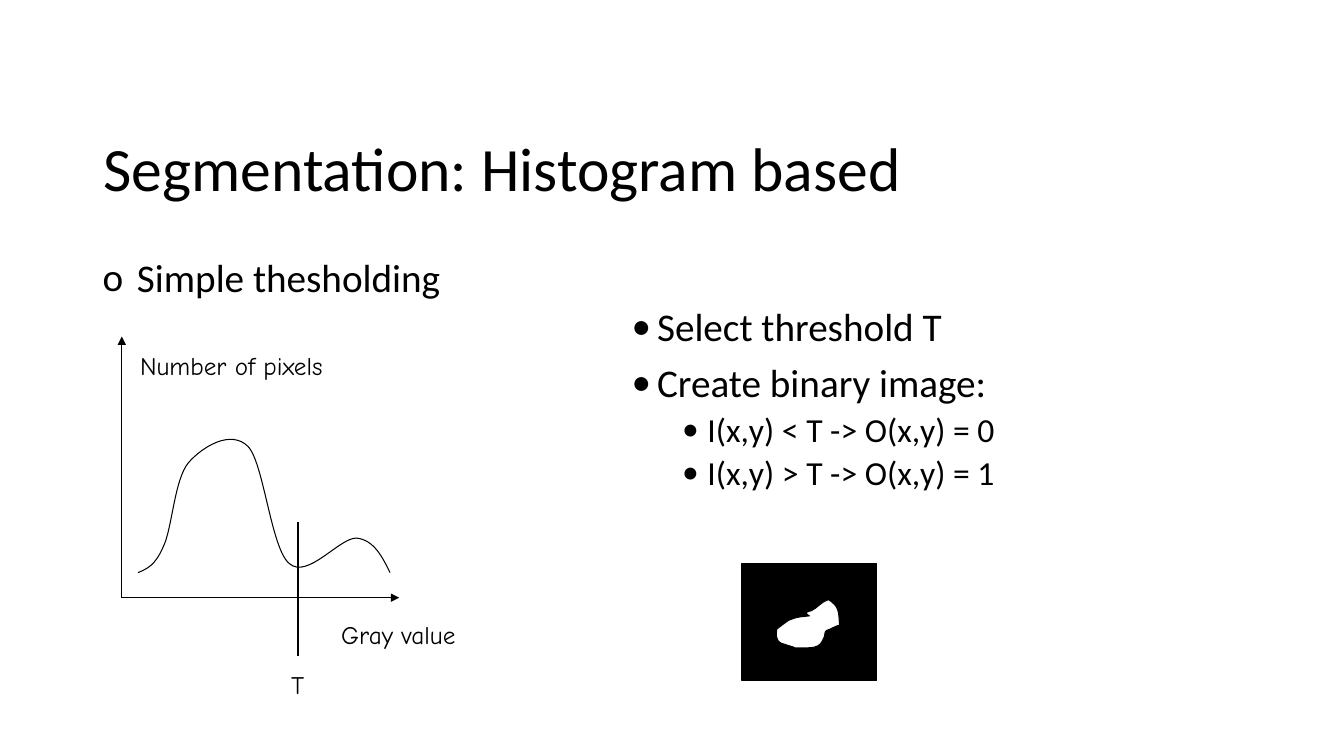
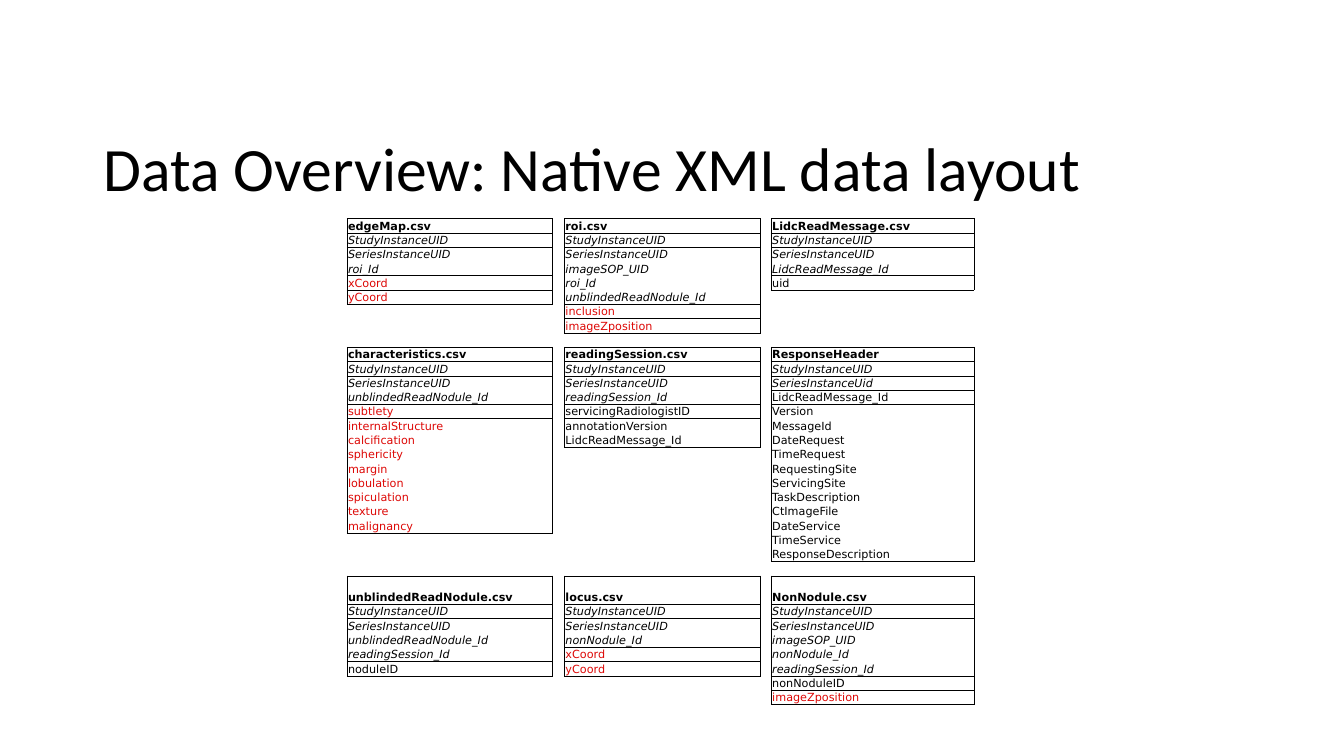
from lxml.etree import SubElement
from pptx import Presentation
from pptx.dml.color import RGBColor
from pptx.enum.shapes import MSO_CONNECTOR, MSO_SHAPE
from pptx.enum.text import MSO_ANCHOR
from pptx.oxml.ns import qn
from pptx.util import Cm, Pt

BLACK, WHITE, RED = "000000", "FFFFFF", "DD0806"
BODY_FONT, LABEL_FONT, TABLE_FONT = "Calibri", "Comic Neue", "DejaVu Sans"
LINE_WIDTH = 0.75
NO_STYLE = "{2D5ABB26-0587-4C30-8999-92F81FD0307C}"

# Curves: a start, then two control nodes and an end for each segment
ORIGIN = (3.07, 15.06)
HISTOGRAM = [
    (3.48, 14.43),
    (3.71, 14.33), (3.91, 14.25), (4.11, 13.79),
    (4.34, 13.34), (4.39, 12.09), (4.75, 11.66),
    (5.11, 11.25), (5.82, 10.82), (6.25, 11.25),
    (6.65, 11.66), (6.83, 13.82), (7.29, 14.2),
    (7.75, 14.61), (8.56, 13.54), (8.99, 13.56),
    (9.42, 13.61), (9.63, 14.02), (9.83, 14.43),
]
SHOE = [
    (20.4, 15.52),
    (20.24, 15.54), (20.09, 15.54), (19.96, 15.6),
    (19.86, 15.62), (19.79, 15.7), (19.71, 15.75),
    (19.69, 15.77), (19.58, 15.85), (19.58, 15.85),
    (19.56, 15.95), (19.53, 16.13), (19.69, 16.21),
    (19.76, 16.23), (19.84, 16.26), (19.91, 16.28),
    (19.96, 16.28), (20.04, 16.33), (20.04, 16.33),
    (20.22, 16.31), (20.42, 16.36), (20.6, 16.28),
    (20.7, 16.26), (20.78, 16.03), (20.78, 16.03),
    (20.8, 15.9), (20.78, 15.9), (20.93, 15.85),
    (21.01, 15.8), (21.16, 15.75), (21.16, 15.75),
    (21.13, 15.42), (21.16, 15.29), (20.88, 15.11),
    (20.7, 15.16), (20.6, 15.32), (20.45, 15.39),
    (20.4, 15.42), (20.35, 15.39), (20.32, 15.44),
    (20.29, 15.47), (20.37, 15.49), (20.4, 15.52),
]

COLUMN_WIDTHS = [5.18, 0.3, 4.93, 0.28, 5.11]
ROW_COUNT, ROW_HEIGHT, TALL_ROW = 33, 0.36, 25
STUDY_KEYS = ["StudyInstanceUID", "SeriesInstanceUID"]
RED_FIELDS = {
    "xCoord", "yCoord", "inclusion", "imageZposition", "subtlety",
    "internalStructure", "calcification", "sphericity", "margin",
    "lobulation", "spiculation", "texture", "malignancy",
}
# Top row -> entities from left to right: name, keys, other fields
ENTITIES = {
    0: [
        ("edgeMap.csv", STUDY_KEYS + ["roi_Id"], ["xCoord", "yCoord"]),
        ("roi.csv",
         STUDY_KEYS + ["imageSOP_UID", "roi_Id", "unblindedReadNodule_Id"],
         ["inclusion", "imageZposition"]),
        ("LidcReadMessage.csv", STUDY_KEYS + ["LidcReadMessage_Id"], ["uid"]),
    ],
    9: [
        ("characteristics.csv", STUDY_KEYS + ["unblindedReadNodule_Id"],
         ["subtlety", "internalStructure", "calcification", "sphericity",
          "margin", "lobulation", "spiculation", "texture", "malignancy"]),
        ("readingSession.csv", STUDY_KEYS + ["readingSession_Id"],
         ["servicingRadiologistID", "annotationVersion",
          "LidcReadMessage_Id"]),
        ("ResponseHeader", ["StudyInstanceUID", "SeriesInstanceUid"],
         ["LidcReadMessage_Id", "Version", "MessageId", "DateRequest",
          "TimeRequest", "RequestingSite", "ServicingSite",
          "TaskDescription", "CtImageFile", "DateService", "TimeService",
          "ResponseDescription"]),
    ],
    TALL_ROW: [
        ("unblindedReadNodule.csv",
         STUDY_KEYS + ["unblindedReadNodule_Id", "readingSession_Id"],
         ["noduleID"]),
        ("locus.csv", STUDY_KEYS + ["nonNodule_Id"], ["xCoord", "yCoord"]),
        ("NonNodule.csv",
         STUDY_KEYS + ["imageSOP_UID", "nonNodule_Id", "readingSession_Id"],
         ["nonNoduleID", "imageZposition"]),
    ],
}


def rgb(value):
    return RGBColor.from_string(value)


def format_run(r, font, size, color=BLACK, bold=False, italic=False):
    r.font.name, r.font.size = font, Pt(size)
    r.font.color.rgb = rgb(color)
    r.font.bold, r.font.italic = bold, italic


def add_text(s, text, left, top, width, height, font=BODY_FONT, size=28):
    tf = s.shapes.add_textbox(Cm(left), Cm(top), Cm(width), Cm(height)).text_frame
    tf.word_wrap = True
    tf.text = text
    for p in tf.paragraphs:
        format_run(p.runs[0], font, size)
    return tf


def add_title(s, text):
    tf = add_text(s, text, 2.36, 2.49, 29.21, 3.68, size=44)
    tf.vertical_anchor = MSO_ANCHOR.MIDDLE
    tf.paragraphs[0].line_spacing = 0.9


def set_bullet(p, char="•", margin=0.64, before=10):
    p.line_spacing, p.space_before = 0.9, Pt(before)
    pPr = p._p.get_or_add_pPr()
    pPr.set("marL", str(Cm(margin)))
    pPr.set("indent", str(-Cm(0.64)))
    SubElement(pPr, qn("a:buFont"), typeface=BODY_FONT)
    SubElement(pPr, qn("a:buChar"), char=char)


def add_line(s, start, end, arrow=False):
    c = s.shapes.add_connector(MSO_CONNECTOR.STRAIGHT,
                               *(Cm(v) for v in start + end))
    c.line.color.rgb, c.line.width = rgb(BLACK), Pt(LINE_WIDTH)
    if arrow:
        SubElement(c.line._get_or_add_ln(), qn("a:tailEnd"), type="triangle")
    SubElement(c._element.spPr, qn("a:effectLst"))


def style_shape(sp, fill=None):
    sp.shadow.inherit = False
    sp.line.color.rgb, sp.line.width = rgb(BLACK), Pt(LINE_WIDTH)
    if fill:
        sp.fill.solid()
        sp.fill.fore_color.rgb = rgb(fill)
    else:
        sp.fill.background()


def bend_segments(sp):
    """Turn each three straight segments into one cubic curve."""
    lines = list(sp._element.iter(qn("a:lnTo")))
    for i in range(0, len(lines), 3):
        first, *others = lines[i:i + 3]
        first.tag = qn("a:cubicBezTo")
        for line in others:
            first.append(line[0])
            line.getparent().remove(line)


def add_curve(s, nodes, fill=None):
    start, *rest = [(Cm(x), Cm(y)) for x, y in nodes]
    builder = s.shapes.build_freeform(*start)
    builder.add_line_segments(rest, close=False)
    sp = builder.convert_to_shape()
    if fill:
        outline = next(sp._element.iter(qn("a:path")))
        SubElement(outline, qn("a:close"))
    bend_segments(sp)
    style_shape(sp, fill)


def set_borders(cell, sides):
    tcPr = cell._tc.get_or_add_tcPr()
    for side in sides:
        ln = SubElement(tcPr, qn("a:ln" + side), w=str(Pt(0.5)))
        fill = SubElement(ln, qn("a:solidFill"))
        SubElement(fill, qn("a:srgbClr"), val=BLACK)


def format_cell(cell, text="", sides="", **style):
    cell.margin_left = cell.margin_right = Cm(0.02)
    cell.margin_top = Cm(0.01)
    cell.margin_bottom = 0
    cell.vertical_anchor = MSO_ANCHOR.BOTTOM
    set_borders(cell, sides)
    cell.fill.background()
    p = cell.text_frame.paragraphs[0]
    if text:
        p.text = text
        format_run(p.runs[0], TABLE_FONT, 8, **style)
    else:
        SubElement(p._p, qn("a:endParaRPr"), sz="800")


def entity_cells(name, keys, fields):
    """Yield text, bordered sides and run style for each row of an entity."""
    for section in ([name], keys, fields):
        for i, text in enumerate(section):
            sides = "LR"
            sides += "T" if i == 0 else ""
            sides += "B" if i == len(section) - 1 else ""
            color = RED if section is fields and text in RED_FIELDS else BLACK
            yield text, sides, {"color": color, "bold": text == name,
                                "italic": section is keys}


def add_entity_table(s):
    heights = [ROW_HEIGHT * (2 if i == TALL_ROW else 1)
               for i in range(ROW_COUNT)]
    frame = s.shapes.add_table(ROW_COUNT, len(COLUMN_WIDTHS), Cm(8.75),
                               Cm(5.51), Cm(sum(COLUMN_WIDTHS)),
                               Cm(sum(heights)))
    table = frame.table
    table.first_row = table.horz_banding = False
    table._tbl.tblPr.find(qn("a:tableStyleId")).text = NO_STYLE
    for column, width in zip(table.columns, COLUMN_WIDTHS):
        column.width = Cm(width)
    for row, height in zip(table.rows, heights):
        row.height = Cm(height)

    contents = {}
    for top, entities in ENTITIES.items():
        for i, entity in enumerate(entities):
            for row, content in enumerate(entity_cells(*entity), top):
                contents[row, 2 * i] = content
    for row in range(ROW_COUNT):
        for col in range(len(COLUMN_WIDTHS)):
            text, sides, style = contents.get((row, col), ("", "", {}))
            format_cell(table.cell(row, col), text, sides, **style)


def add_histogram(s):
    add_line(s, ORIGIN, (ORIGIN[0], 8.48), arrow=True)
    add_line(s, ORIGIN, (10.06, ORIGIN[1]), arrow=True)
    add_curve(s, HISTOGRAM)
    add_line(s, (7.51, 13.16), (7.51, 16.54))
    for text, left, top, width in (("T", 7.09, 16.74, 0.94),
                                   ("Gray value", 8.35, 15.47, 3.58),
                                   ("Number of pixels", 3.28, 8.71, 5.64)):
        add_text(s, text, left, top, width, 1.02, LABEL_FONT, 18)


def add_binary_image(s):
    sp = s.shapes.add_shape(MSO_SHAPE.RECTANGLE, Cm(18.7), Cm(14.2),
                            Cm(3.39), Cm(2.96))
    style_shape(sp, BLACK)
    add_curve(s, SHOE, WHITE)


def build_segmentation(s):
    add_title(s, "Segmentation: Histogram based")
    tf = add_text(s, " Simple thesholding", 2.34, 6.4, 29.21, 10.77)
    set_bullet(tf.paragraphs[0], "o")

    steps = ["Select threshold T", "Create binary image:",
             "I(x,y) < T -> O(x,y) = 0", "I(x,y) > T -> O(x,y) = 1"]
    tf = add_text(s, "\n".join(steps), 15.67, 7.62, 12.9, 7.82)
    for p in tf.paragraphs[:2]:
        set_bullet(p)
    for p in tf.paragraphs[2:]:
        p.level = 1
        p.runs[0].font.size = Pt(24)
        set_bullet(p, margin=1.91, before=5)
    add_histogram(s)
    add_binary_image(s)


def build_data_overview(s):
    add_title(s, "Data Overview: Native XML data layout")
    add_entity_table(s)


def main():
    prs = Presentation()
    prs.slide_width, prs.slide_height = Cm(33.87), Cm(19.05)
    for build in (build_segmentation, build_data_overview):
        build(prs.slides.add_slide(prs.slide_layouts[6]))
    prs.save("out.pptx")


if __name__ == "__main__":
    main()
